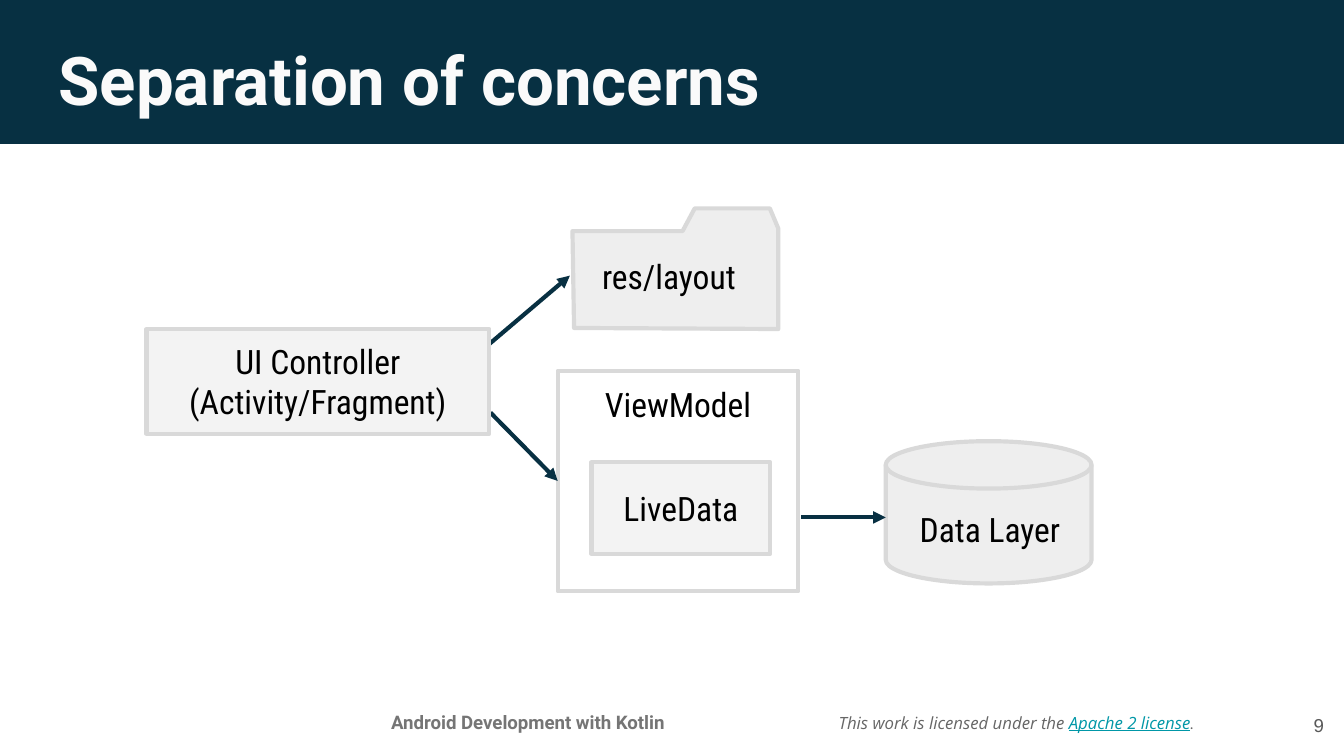
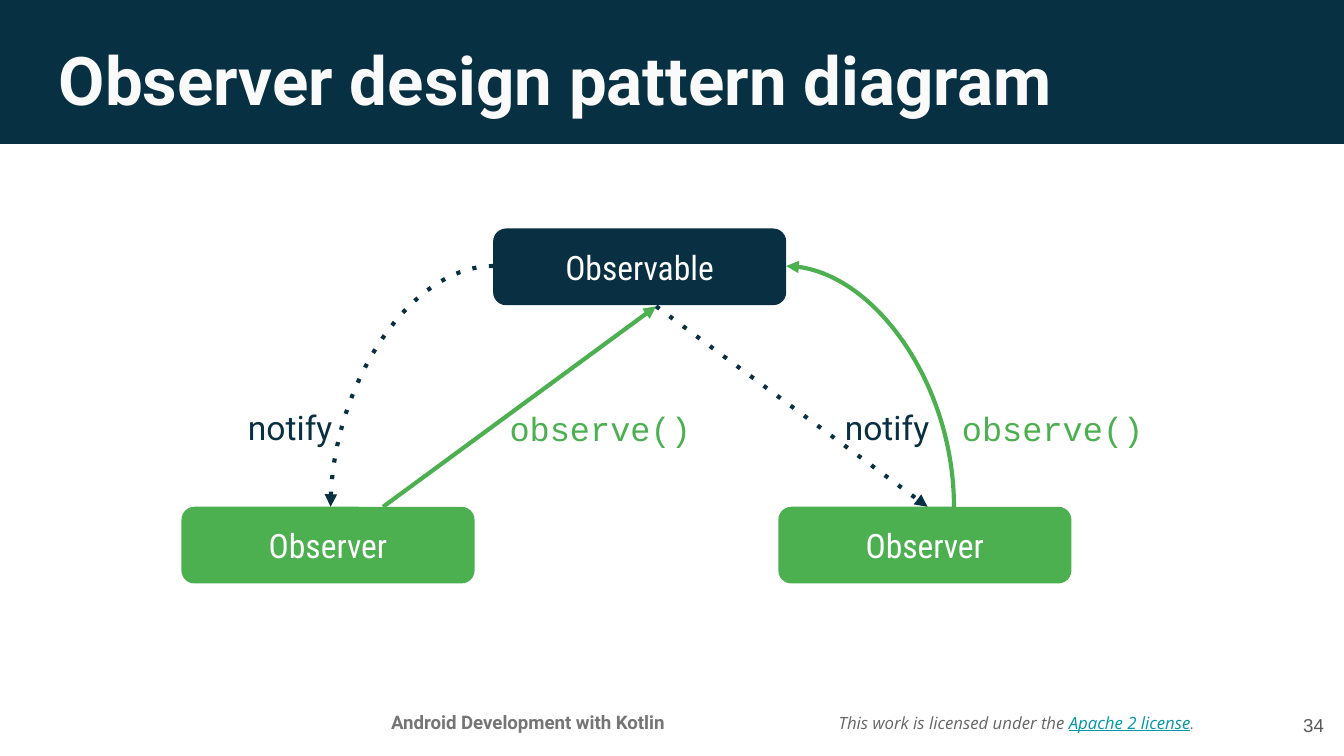
import lxml.etree
import pptx
import pptx.dml.color
import pptx.enum.shapes
import pptx.enum.text
import pptx.oxml.ns
import pptx.util

Cm = pptx.util.Cm
Pt = pptx.util.Pt
SHAPE = pptx.enum.shapes.MSO_SHAPE
CONNECTOR = pptx.enum.shapes.MSO_CONNECTOR
ALIGN = pptx.enum.text.PP_ALIGN
ANCHOR = pptx.enum.text.MSO_ANCHOR

COLORS = {
    "band": "073042",
    "navy": "083042",
    "green": "4CAF50",
    "white": "FFFFFF",
    "black": "000000",
    "title": "FAFAFA",
    "box": "F3F3F3",
    "storage": "EEEEEE",
    "border": "D9D9D9",
    "course": "757575",
    "license": "666666",
    "link": "0097A7",
    "number": "595959",
}
DIAGRAM_FONT = "Roboto Condensed"


def rgb(name):
    return pptx.dml.color.RGBColor.from_string(COLORS[name])


def style_font(font, size, face, color, bold=False, italic=False):
    font.size = Pt(size)
    font.name = face
    font.color.rgb = rgb(color)
    font.bold = bold
    font.italic = italic


def set_frame(shape, anchor, align):
    frame = shape.text_frame
    frame.word_wrap = True
    frame.vertical_anchor = anchor
    frame.margin_left = frame.margin_right = Cm(0.25)
    frame.margin_top = frame.margin_bottom = Cm(0.25)
    paragraph = frame.paragraphs[0]
    paragraph.alignment = align
    return paragraph


def write(shape, text, size, face, color, bold=False,
          anchor=ANCHOR.MIDDLE, align=ALIGN.CENTER):
    paragraph = set_frame(shape, anchor, align)
    paragraph.text = text
    style_font(paragraph.font, size, face, color, bold)


def add_label(slide, box, text, size, face, color, **options):
    label = slide.shapes.add_textbox(*map(Cm, box))
    write(label, text, size, face, color, **options)


def paint(shape, fill, border=None):
    shape.shadow.inherit = False
    shape.fill.solid()
    shape.fill.fore_color.rgb = rgb(fill)
    if border:
        shape.line.color.rgb = rgb(border)
        shape.line.width = Pt(2.25)
    else:
        shape.line.fill.background()


def add_block(slide, kind, box, fill, border=None, text="",
              color="black", anchor=ANCHOR.MIDDLE):
    block = slide.shapes.add_shape(kind, *map(Cm, box))
    paint(block, fill, border)
    if text:
        write(block, text, 18, DIAGRAM_FONT, color, anchor=anchor)
    return block


def add_folder(slide, outline):
    corners = [(Cm(x), Cm(y)) for x, y in outline]
    builder = slide.shapes.build_freeform(*corners[0])
    builder.add_line_segments(corners[1:], close=True)
    paint(builder.convert_to_shape(), "storage", "border")


def add_arrow(slide, start, end, color="navy", dotted=False,
              curved=False, arrowhead="tailEnd"):
    kind = CONNECTOR.CURVE if curved else CONNECTOR.STRAIGHT
    arrow = slide.shapes.add_connector(kind, *map(Cm, start + end))
    arrow.line.color.rgb = rgb(color)
    arrow.line.width = Pt(2.25)
    qn = pptx.oxml.ns.qn
    properties = arrow._element.spPr
    outline = properties.find(qn("a:ln"))
    if dotted:
        lxml.etree.SubElement(outline, qn("a:prstDash"), val="dot")
    lxml.etree.SubElement(outline, qn("a:" + arrowhead), type="triangle")
    if curved:
        properties.find(qn("a:prstGeom")).set("prst", "curvedConnector2")
    lxml.etree.SubElement(properties, qn("a:effectLst"))


def add_license(slide):
    notice = slide.shapes.add_textbox(Cm(15.6), Cm(13.06), Cm(7.47), Cm(1.19))
    paragraph = set_frame(notice, ANCHOR.MIDDLE, ALIGN.LEFT)
    for text, face, color, underlined in (
        ("This work is licensed under the ", "Open Sans", "license", False),
        ("Apache 2 license", "Open Sans", "link", True),
        (".", "Roboto", "license", False),
    ):
        run = paragraph.add_run()
        run.text = text
        style_font(run.font, 9, face, color, italic=True)
        run.font.underline = underlined


def add_page(deck, title, number):
    slide = deck.slides.add_slide(deck.slide_layouts[6])
    add_license(slide)
    add_block(slide, SHAPE.RECTANGLE, (0, 0, 25.4, 2.72), "band")
    add_label(slide, (6.38, 13.23, 7.19, 0.81), "Android Development with Kotlin",
              10, "Roboto", "course", bold=True, anchor=ANCHOR.TOP)
    add_label(slide, (0.86, 0.48, 23.67, 1.6), title, 36, "Roboto", "title",
              bold=True, anchor=ANCHOR.TOP, align=ALIGN.LEFT)
    add_label(slide, (23.75, 13.16, 1.52, 1.09), str(number),
              10, "Arial", "number", align=ALIGN.RIGHT)
    return slide


def build_concerns(deck):
    slide = add_page(deck, "Separation of concerns", 9)
    add_arrow(slide, (9.25, 6.5), (10.77, 5.21))
    add_folder(slide, [(10.82, 4.37), (12.9, 4.37), (13.13, 3.94), (14.55, 3.94),
                       (14.71, 4.32), (14.71, 6.22), (10.85, 6.2)])
    add_label(slide, (11.13, 4.83, 3.35, 0.79), "res/layout",
              18, DIAGRAM_FONT, "black", align=ALIGN.LEFT)
    add_block(slide, SHAPE.RECTANGLE, (10.54, 7.01, 4.55, 4.17), "white", "border",
              "ViewModel", anchor=ANCHOR.TOP)
    add_block(slide, SHAPE.RECTANGLE, (11.18, 8.74, 3.38, 1.73), "box", "border",
              "LiveData")
    add_block(slide, SHAPE.FLOWCHART_MAGNETIC_DISK, (16.74, 8.34, 3.89, 2.69),
              "storage", "border")
    add_label(slide, (17.02, 9.58, 3.38, 0.84), "Data Layer",
              18, DIAGRAM_FONT, "black")
    add_arrow(slide, (9.27, 7.8), (10.54, 9.09))
    add_arrow(slide, (15.14, 9.78), (16.74, 9.78))
    add_block(slide, SHAPE.RECTANGLE, (2.77, 6.22, 6.48, 1.98), "box", "border",
              "UI Controller\v(Activity/Fragment)")


def build_observer(deck):
    slide = add_page(deck, "Observer design pattern diagram", 34)
    observable_base = (12.4, 5.79)
    observer_top = 9.58
    add_arrow(slide, (7.24, observer_top), observable_base, "green")
    add_arrow(slide, observable_base, (17.53, observer_top), dotted=True)
    add_arrow(slide, (9.32, 5.03), (6.25, observer_top), dotted=True, curved=True)
    add_arrow(slide, (14.86, 5.03), (18.03, observer_top), "green",
              curved=True, arrowhead="headEnd")
    for left in (4.29, 15.57):
        add_label(slide, (left, 7.82, 2.39, 0.51), "notify", 18, "Roboto", "navy")
    for left, width in ((9.35, 3.99), (17.81, 4.17)):
        add_label(slide, (left, 7.67, width, 0.84), "observe()",
                  18, "Courier New", "green")
    for text, left, top, fill in (
        ("Observable", 9.32, 4.32, "navy"),
        ("Observer", 14.71, observer_top, "green"),
        ("Observer", 3.43, observer_top, "green"),
    ):
        node = add_block(slide, SHAPE.ROUNDED_RECTANGLE, (left, top, 5.54, 1.45),
                         fill, text=text, color="white")
        node.adjustments[0] = 0.17


def main():
    deck = pptx.Presentation()
    deck.slide_width = Cm(25.4)
    deck.slide_height = Cm(14.29)
    build_concerns(deck)
    build_observer(deck)
    deck.save("out.pptx")


if __name__ == "__main__":
    main()
